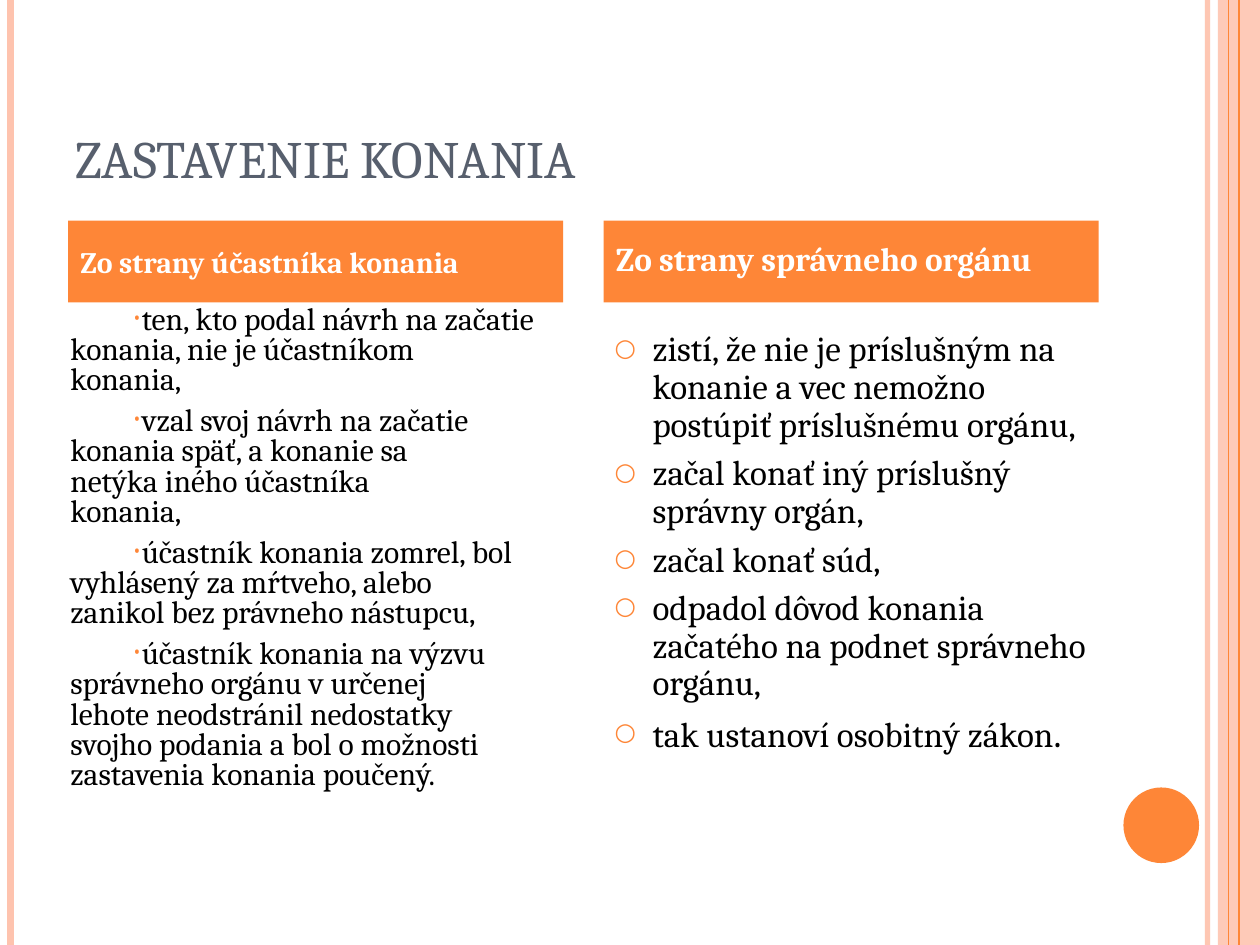
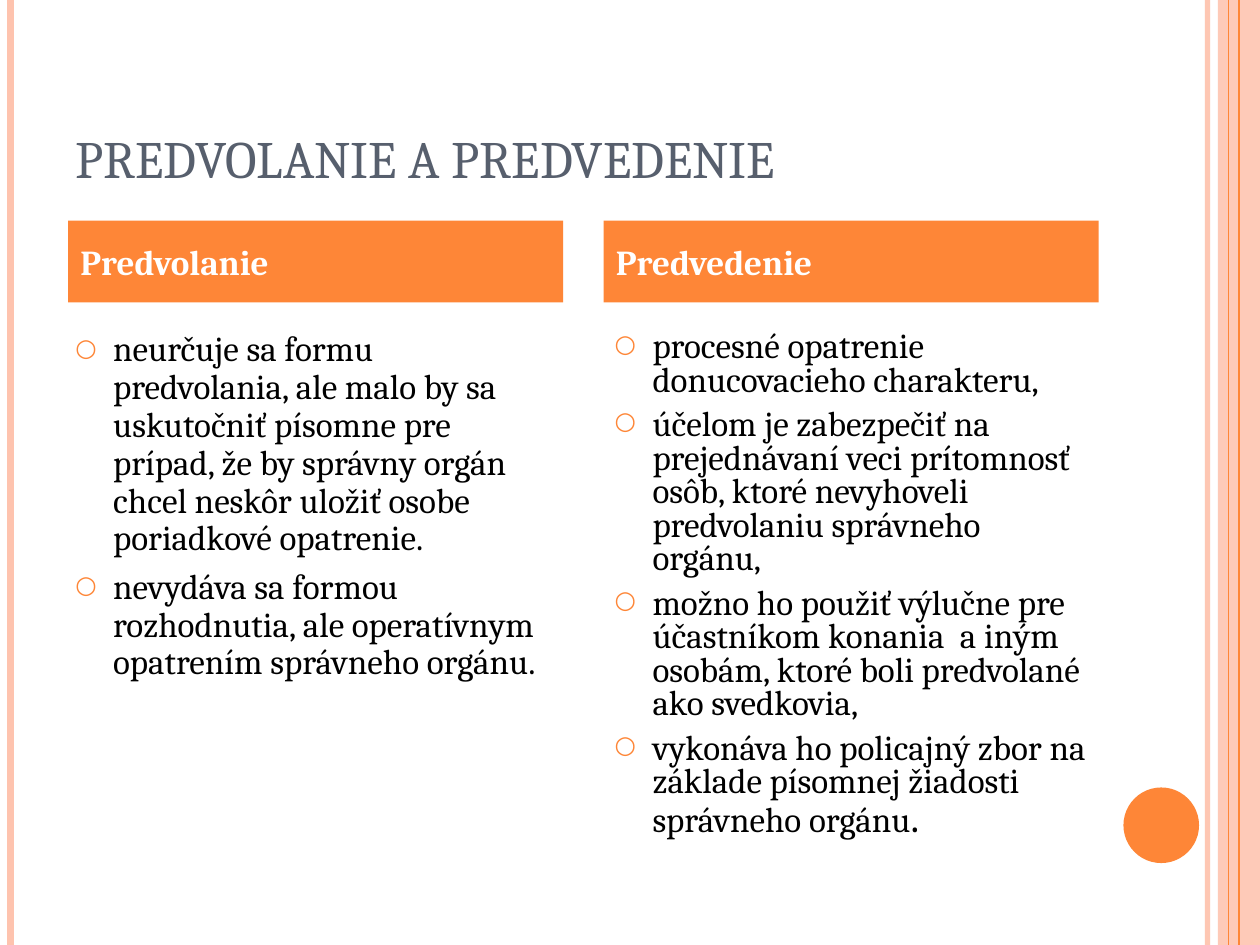
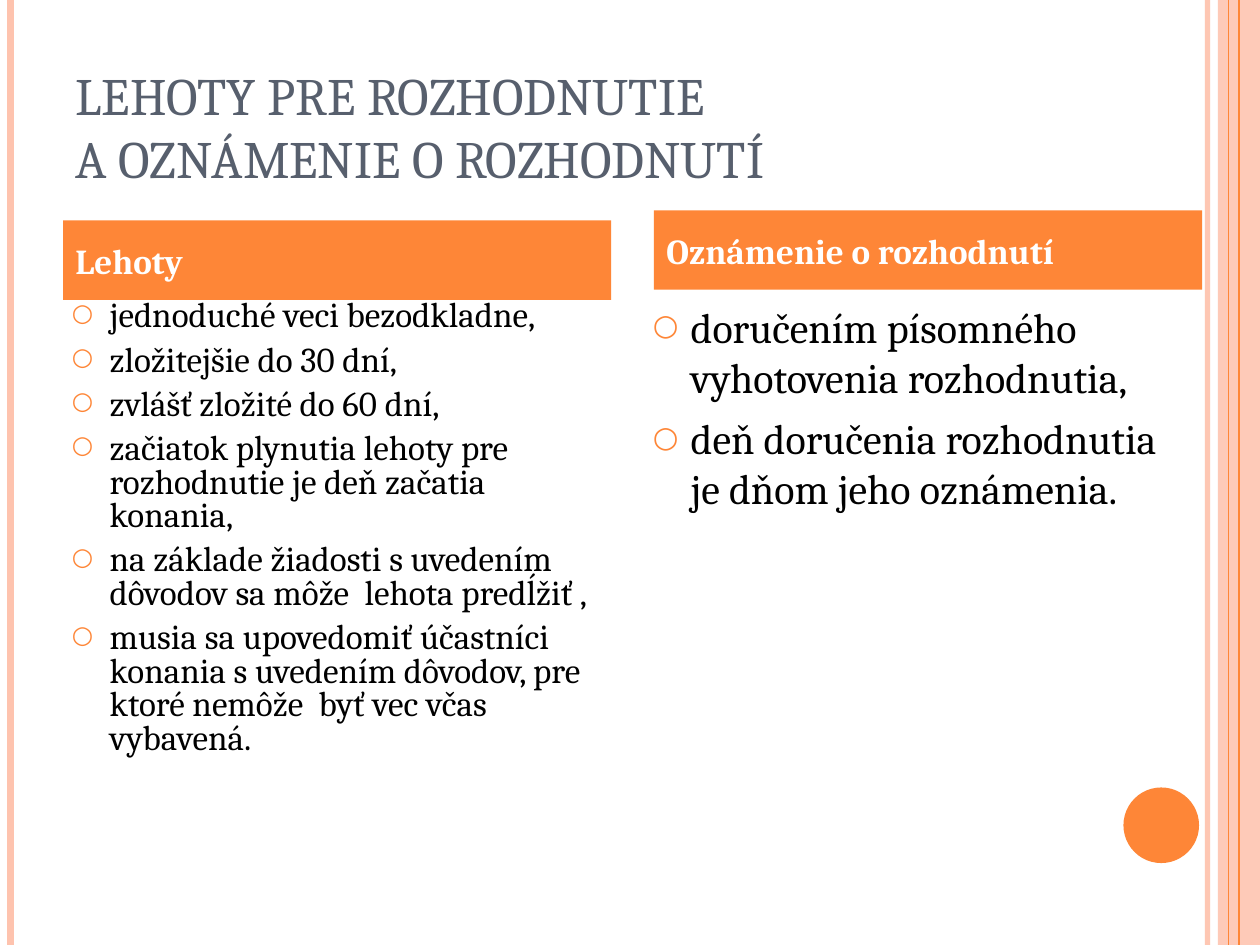
import dataclasses

import lxml.etree
import pptx
import pptx.dml.color
import pptx.enum.shapes
import pptx.enum.text
import pptx.oxml.ns
import pptx.util

Pt = pptx.util.Pt
qn = pptx.oxml.ns.qn
Color = pptx.dml.color.RGBColor.from_string
Shapes = pptx.enum.shapes.MSO_SHAPE
Anchor = pptx.enum.text.MSO_ANCHOR


@dataclasses.dataclass(frozen=True)
class Theme:
    font: str = "Cambria"
    accent: str = "FE8637"
    pale: str = "FEC3AE"
    title: str = "575F6D"
    text: str = "000000"
    white: str = "FFFFFF"
    title_size: int = 30
    body_size: int = 20
    space_before: int = 6
    bullet_percent: int = 70


theme = Theme()
WIDTH, HEIGHT = 720, 540

EDGE_LINES = [
    (690, theme.pale, 3, 93),
    (6, theme.pale, 4.5, 100),
    (708, theme.accent, 1.5, 100),
    (702, theme.accent, 0.75, 100),
]
EDGE_BAND = (Shapes.RECTANGLE, (696, 0, 24, HEIGHT), theme.pale, 87)
CORNER_DISC = (Shapes.OVAL, (642, 450, 43.2, 43.2), theme.accent, 100)

LEFT_HEADER = (38.9, 126, 283, 46.8)
RIGHT_HEADER = (344.9, 126, 283, 46.8)
LEFT_BODY = (36, 186, 288, 306)
RIGHT_BODY = (344.2, 186, 288, 306)
HANGING = (21.6, -21.6)

SLIDES = [
    ("ZASTAVENIE KONANIA", [
        dict(header="Zo strany účastníka konania", header_box=LEFT_HEADER, header_size=17,
             body_box=(11.5, 171.4, 342.7, 311), size=18, spacing=0.8,
             bullet="•", indent=(21.6, 35.3),
             items=["ten, kto podal návrh na začatie\nkonania, nie je účastníkom\nkonania,",
                    "vzal svoj návrh na začatie\nkonania späť, a konanie sa\nnetýka iného účastníka\nkonania,",
                    "účastník konania zomrel, bol\nvyhlásený za mŕtveho, alebo\nzanikol bez právneho nástupcu,",
                    "účastník konania na výzvu\nsprávneho orgánu v určenej\nlehote neodstránil nedostatky\n"
                    "svojho podania a bol o možnosti\nzastavenia konania poučený."]),
        dict(header="Zo strany správneho orgánu", header_box=RIGHT_HEADER, header_size=19,
             header_spacing=0.8, body_box=RIGHT_BODY, spacing=0.9, stop_size=22,
             items=["zistí, že nie je príslušným na konanie a vec nemožno postúpiť príslušnému orgánu,",
                    "začal konať iný príslušný správny orgán,",
                    "začal konať súd,",
                    "odpadol dôvod konania začatého na podnet správneho orgánu,",
                    "tak ustanoví osobitný zákon"]),
    ]),
    ("PREDVOLANIE A PREDVEDENIE", [
        dict(header="Predvolanie", header_box=LEFT_HEADER, body_box=LEFT_BODY, spacing=0.9,
             items=["neurčuje sa formu predvolania, ale malo by sa uskutočniť písomne pre prípad, "
                    "že by správny orgán chcel neskôr uložiť osobe poriadkové opatrenie.",
                    "nevydáva sa formou rozhodnutia, ale operatívnym opatrením správneho orgánu."]),
        dict(header="Predvedenie", header_box=RIGHT_HEADER, body_box=RIGHT_BODY, spacing=0.8,
             stop_size=24,
             items=["procesné opatrenie donucovacieho charakteru,",
                    "účelom je zabezpečiť na prejednávaní veci prítomnosť osôb, "
                    "ktoré nevyhoveli predvolaniu správneho orgánu,",
                    "možno ho použiť výlučne pre účastníkom konania  a iným osobám, "
                    "ktoré boli predvolané ako svedkovia,",
                    "vykonáva ho policajný zbor na základe písomnej žiadosti správneho orgánu"]),
    ]),
    ("LEHOTY PRE ROZHODNUTIE\nA OZNÁMENIE O ROZHODNUTÍ", [
        dict(header="Lehoty", header_box=(36, 126, 313.2, 45.4),
             body_box=(34, 168.5, 318, 311), spacing=0.8,
             items=["jednoduché veci bezodkladne,",
                    "zložitejšie do 30 dní,",
                    "zvlášť zložité do 60 dní,",
                    "začiatok plynutia lehoty pre rozhodnutie je deň začatia konania,",
                    "na základe žiadosti s uvedením dôvodov sa môže  lehota predĺžiť ,",
                    "musia sa upovedomiť účastníci konania s uvedením dôvodov, "
                    "pre ktoré nemôže  byť vec včas vybavená."]),
        dict(header="Oznámenie o rozhodnutí", header_box=(373.7, 120.2, 313.2, 45.4),
             body_box=(366, 168.5, 318, 311), size=24, spacing=1.0,
             items=["doručením písomného vyhotovenia rozhodnutia,",
                    "deň doručenia rozhodnutia je dňom jeho oznámenia."]),
    ]),
]


def add_text(paragraph, text, size, color, bold=False):
    for index, line in enumerate(text.split("\n")):
        if index:
            paragraph.add_line_break()
        run = paragraph.add_run()
        run.text = line
        run.font.name = theme.font
        run.font.size = Pt(size)
        run.font.bold = bold
        run.font.color.rgb = Color(color)


def set_opacity(element, percent):
    for color in element.iter(qn("a:srgbClr")):
        lxml.etree.SubElement(color, qn("a:alpha"), val=str(percent * 1000))


presentation = pptx.Presentation()
presentation.slide_width = Pt(WIDTH)
presentation.slide_height = Pt(HEIGHT)

for title, columns in SLIDES:
    slide = presentation.slides.add_slide(presentation.slide_layouts[6])
    slide.background.fill.solid()
    slide.background.fill.fore_color.rgb = Color(theme.white)

    for kind, box, color, opacity in (EDGE_BAND, CORNER_DISC):
        shape = slide.shapes.add_shape(kind, *map(Pt, box))
        shape.shadow.inherit = False
        shape.fill.solid()
        shape.fill.fore_color.rgb = Color(color)
        shape.line.fill.background()
        if opacity < 100:
            set_opacity(shape.fill._xPr, opacity)

    for left, color, width, opacity in EDGE_LINES:
        connector = slide.shapes.add_connector(
            pptx.enum.shapes.MSO_CONNECTOR.STRAIGHT, Pt(left), Pt(0), Pt(left), Pt(HEIGHT))
        connector.line.color.rgb = Color(color)
        connector.line.width = Pt(width)
        properties = connector._element.spPr
        if opacity < 100:
            set_opacity(properties, opacity)
        lxml.etree.SubElement(properties, qn("a:effectLst"))

    title_frame = slide.shapes.add_textbox(Pt(36), Pt(21.6), Pt(594), Pt(90)).text_frame
    title_frame.word_wrap = True
    title_frame.vertical_anchor = Anchor.BOTTOM
    add_text(title_frame.paragraphs[0], title, theme.title_size, theme.title)

    for column in columns:
        size = column.get("size", theme.body_size)
        margin, first_line = column.get("indent", HANGING)
        body_frame = slide.shapes.add_textbox(*map(Pt, column["body_box"])).text_frame
        body_frame.word_wrap = True
        for index, item in enumerate(column["items"]):
            paragraph = body_frame.add_paragraph() if index else body_frame.paragraphs[0]
            properties = paragraph._p.get_or_add_pPr()
            properties.set("marL", str(Pt(margin)))
            properties.set("indent", str(Pt(first_line)))
            bullet_color = lxml.etree.SubElement(properties, qn("a:buClr"))
            lxml.etree.SubElement(bullet_color, qn("a:srgbClr"), val=theme.accent)
            lxml.etree.SubElement(properties, qn("a:buSzPct"), val=str(theme.bullet_percent * 1000))
            lxml.etree.SubElement(properties, qn("a:buFont"), typeface=theme.font)
            lxml.etree.SubElement(properties, qn("a:buChar"), char=column.get("bullet", "○"))
            paragraph.line_spacing = column["spacing"]
            paragraph.space_before = Pt(theme.space_before if index else 0)
            add_text(paragraph, item, size, theme.text)
        if "stop_size" in column:
            add_text(paragraph, ".", column["stop_size"], theme.text)

        header = slide.shapes.add_shape(Shapes.RECTANGLE, *map(Pt, column["header_box"]))
        header.shadow.inherit = False
        header.fill.solid()
        header.fill.fore_color.rgb = Color(theme.accent)
        header.line.fill.background()
        header.text_frame.word_wrap = True
        header.text_frame.vertical_anchor = Anchor.MIDDLE
        paragraph = header.text_frame.paragraphs[0]
        paragraph.alignment = pptx.enum.text.PP_ALIGN.LEFT
        paragraph.line_spacing = column.get("header_spacing", 1.0)
        add_text(paragraph, column["header"], column.get("header_size", theme.body_size),
                 theme.white, bold=True)

presentation.save("out.pptx")
